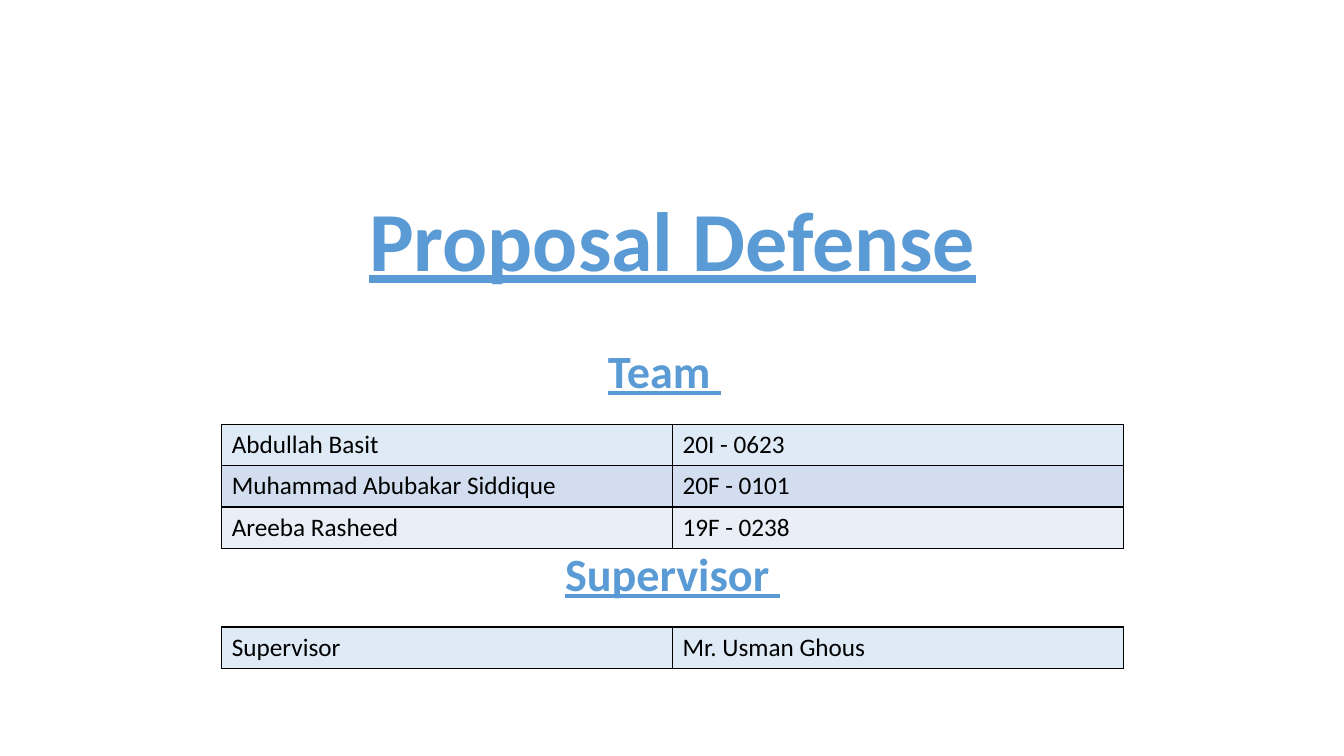
from dataclasses import dataclass

from lxml.etree import SubElement
from pptx import Presentation
from pptx.dml.color import RGBColor
from pptx.enum.text import MSO_ANCHOR, PP_ALIGN
from pptx.oxml.ns import qn
from pptx.slide import Slide
from pptx.table import _Cell
from pptx.util import Inches, Pt


@dataclass(frozen=True)
class Theme:
    font: str = "Calibri"
    accent: str = "5B9BD5"
    ink: str = "000000"
    fills: tuple[str, ...] = ("DEEBF7", "D2DEEF", "EAEFF7")
    title: int = 60
    head: int = 33
    body: int = 18
    border: int = 1


@dataclass(frozen=True)
class Heading:
    text: str
    left: float
    top: float
    height: float
    size: int
    anchor: MSO_ANCHOR = MSO_ANCHOR.TOP
    bottom: float = 0.05


@dataclass(frozen=True)
class Grid:
    top: float
    rows: tuple[tuple[str, str], ...]


THEME = Theme()
WIDTH = 10
LEFT, COLUMN, ROW = 2.2, 4.47, 0.41

HEADINGS = (
    Heading("Proposal Defense", 1.67, 1.23, 2.61, THEME.title, MSO_ANCHOR.BOTTOM, 0.97),
    Heading("Team ", 1.59, 3.41, 1.78, THEME.head),
    Heading("Supervisor ", 1.67, 5.42, 1.81, THEME.head),
)
GRIDS = (
    Grid(4.21, (
        ("Abdullah Basit", "20I - 0623"),
        ("Muhammad Abubakar Siddique", "20F - 0101"),
        ("Areeba Rasheed", "19F - 0238"),
    )),
    Grid(6.22, (("Supervisor", "Mr. Usman Ghous"),)),
)


def style(target: object, values: dict[str, object]) -> None:
    for name, value in values.items():
        setattr(target, name, value)


def add_heading(slide: Slide, item: Heading) -> None:
    box = slide.shapes.add_textbox(
        Inches(item.left), Inches(item.top), Inches(WIDTH), Inches(item.height))
    frame = box.text_frame
    style(frame, {"word_wrap": True, "vertical_anchor": item.anchor,
                  "margin_bottom": Inches(item.bottom)})
    line = frame.paragraphs[0]
    style(line, {"alignment": PP_ALIGN.CENTER, "line_spacing": 0.9})
    run = line.add_run()
    run.text = item.text
    style(run.font, {"name": THEME.font, "size": Pt(item.size),
                     "bold": True, "underline": True})
    run.font.color.rgb = RGBColor.from_string(THEME.accent)


def add_border(cell: _Cell) -> None:
    props = cell._tc.get_or_add_tcPr()
    for side in ("lnL", "lnR", "lnT", "lnB"):
        edge = SubElement(props, qn(f"a:{side}"), w=str(Pt(THEME.border)))
        fill = SubElement(edge, qn("a:solidFill"))
        SubElement(fill, qn("a:srgbClr"), val=THEME.ink)


def fill_cell(cell: _Cell, text: str, color: str) -> None:
    add_border(cell)
    cell.fill.solid()
    cell.fill.fore_color.rgb = RGBColor.from_string(color)
    run = cell.text_frame.paragraphs[0].add_run()
    run.text = text
    style(run.font, {"name": THEME.font, "size": Pt(THEME.body), "bold": False})
    run.font.color.rgb = RGBColor.from_string(THEME.ink)


def add_grid(slide: Slide, grid: Grid) -> None:
    count = len(grid.rows)
    table = slide.shapes.add_table(
        count, 2, Inches(LEFT), Inches(grid.top),
        Inches(2 * COLUMN), Inches(count * ROW)).table
    style(table, {"first_row": False, "horz_banding": False})
    for column in table.columns:
        column.width = Inches(COLUMN)
    for r, (texts, color) in enumerate(zip(grid.rows, THEME.fills)):
        table.rows[r].height = Inches(ROW)
        for c, text in enumerate(texts):
            fill_cell(table.cell(r, c), text, color)


def main() -> None:
    deck = Presentation()
    style(deck, {"slide_width": Inches(13.33), "slide_height": Inches(7.5)})
    slide = deck.slides.add_slide(deck.slide_layouts[6])
    for item in HEADINGS:
        add_heading(slide, item)
    for grid in GRIDS:
        add_grid(slide, grid)
    deck.save("out.pptx")


if __name__ == "__main__":
    main()
